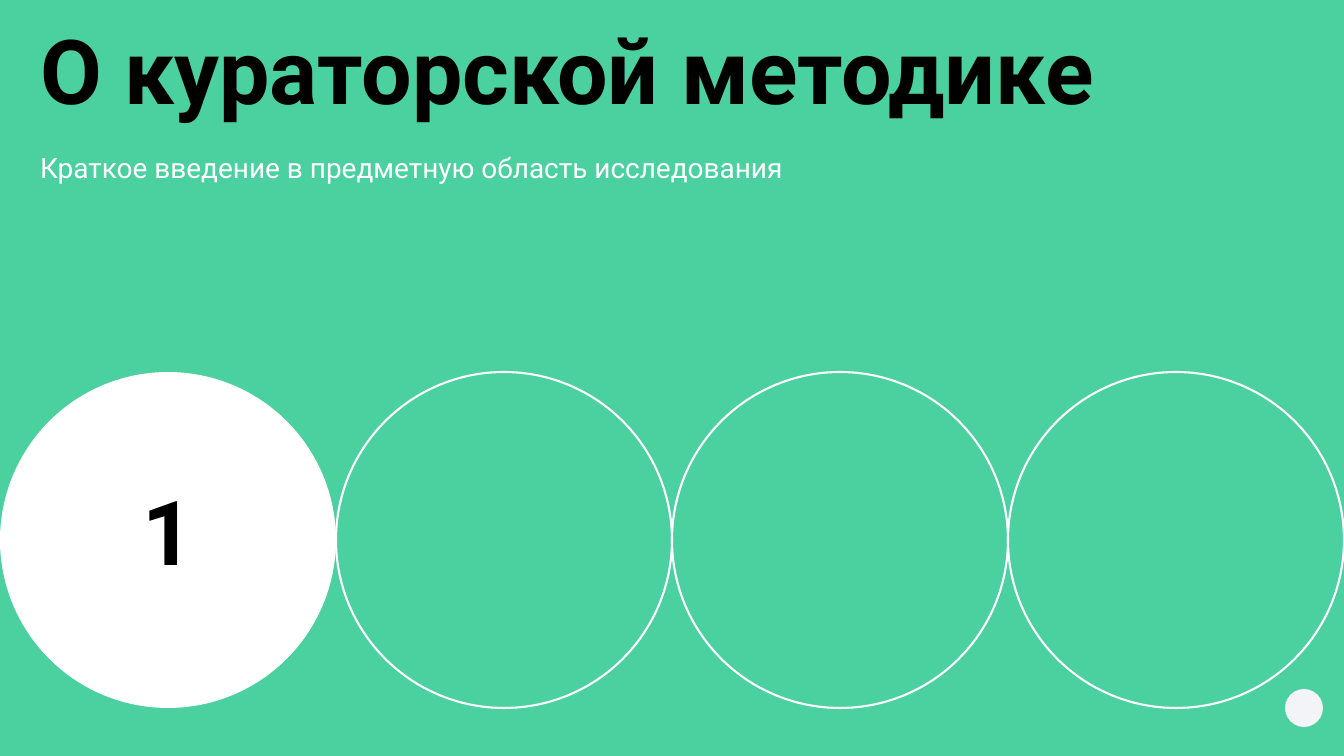
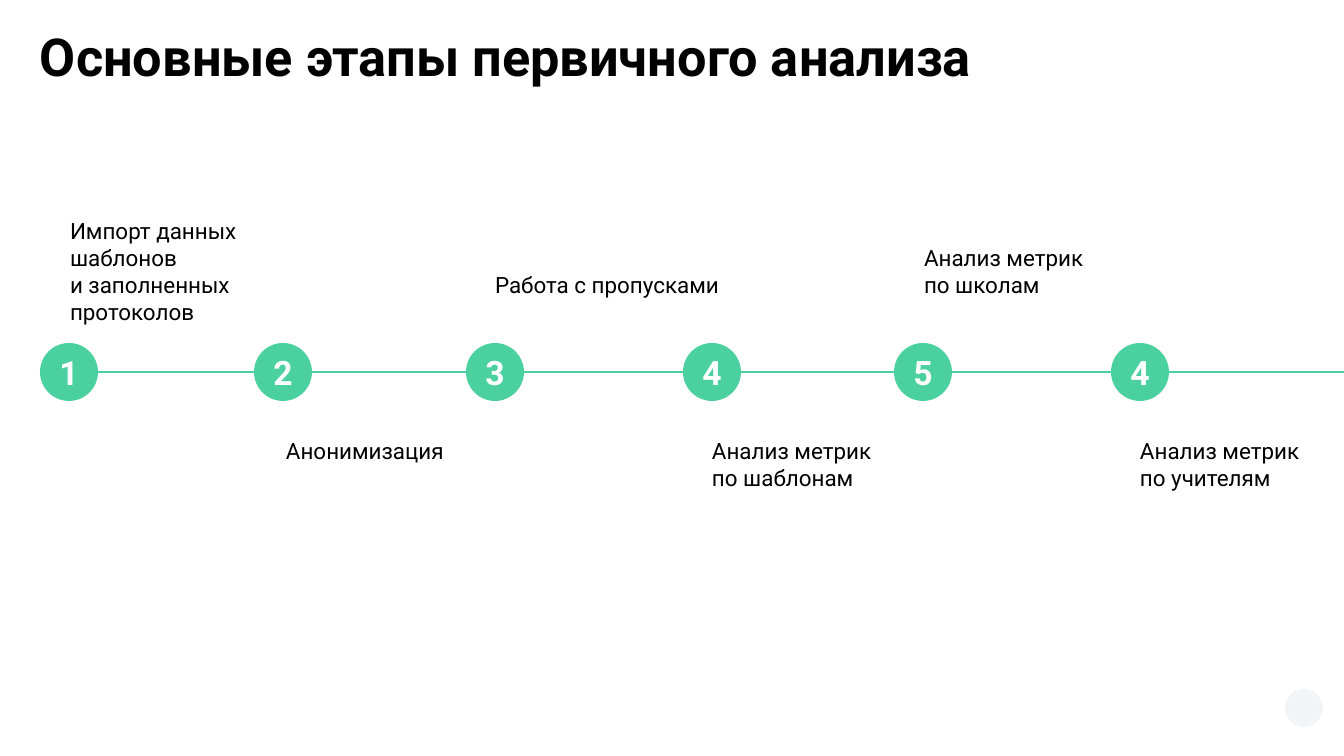
from lxml.etree import SubElement
from pptx import Presentation
from pptx.dml.color import RGBColor
from pptx.enum.shapes import MSO_CONNECTOR, MSO_SHAPE
from pptx.enum.text import MSO_ANCHOR, PP_ALIGN
from pptx.oxml.ns import qn
from pptx.util import Emu, Inches, Pt

WIDE, HIGH = 1344, 756
SCALE = Inches(20) / WIDE
GREEN, WHITE, BLACK, PALE = "4BD0A0", "FFFFFF", "000000", "F3F4F7"
FONT = "Roboto"
EDGE = 40  # left margin of titles and timeline
STROKE = 2.25

TITLE = dict(size=Pt(56), bold=True)
COVER = dict(size=Pt(96), bold=True)
LEAD = dict(size=Pt(30), bold=False)
LABEL = dict(size=Pt(24), bold=False)
DIGIT = dict(size=Pt(36), bold=True)
TIGHT = dict(line_spacing=0.8)
MIDDLE = dict(alignment=PP_ALIGN.CENTER)

RING = 336
DISC = 58
AXIS = 372
ROW = 27  # height of one label line
TOP, LOW = 217, 437

# digit, disc left, label left, label width, rows left free above, label
STEPS = [
    ("1", 40, 70, 212, 0, "Импорт данных шаблонов\vи заполненных протоколов"),
    ("2", 254, 286, 210, 0, "Анонимизация"),
    ("3", 466, 495, 224, 2, "Работа с пропусками"),
    ("4", 683, 712, 210, 0, "Анализ метрик\vпо шаблонам"),
    ("5", 894, 924, 212, 1, "Анализ метрик\vпо школам"),
    ("4", 1111, 1140, 182, 0, "Анализ метрик по учителям"),
]


def px(*nums):
    return [Emu(round(num * SCALE)) for num in nums]


def rgb(code):
    return RGBColor.from_string(code)


def apply(item, attrs):
    for name, value in attrs.items():
        setattr(item, name, value)


def write(par, text, font, color=BLACK, **form):
    par.text = text
    apply(par, form)
    for run in par.runs:
        apply(run.font, dict(font, name=FONT))
        run.font.color.rgb = rgb(color)


def frame(shape, **form):
    """Return the text frame of a shape, wrapped and without insets."""
    body = shape.text_frame
    apply(body, dict(margin_left=0, margin_right=0, margin_top=0,
                     margin_bottom=0, word_wrap=True, **form))
    return body


def text_box(slide, box, text, font, **form):
    body = frame(slide.shapes.add_textbox(*px(*box)))
    write(body.paragraphs[0], text, font, **form)
    return body


def circle(slide, left, top, size, fill=None, line=None):
    shape = slide.shapes.add_shape(
        MSO_SHAPE.OVAL, *px(left, top, size, size))
    shape.shadow.inherit = False
    if fill:
        shape.fill.solid()
        shape.fill.fore_color.rgb = rgb(fill)
    else:
        shape.fill.background()
    if line:
        shape.line.color.rgb = rgb(line)
        shape.line.width = Pt(STROKE)
    else:
        shape.line.fill.background()
    return shape


def number(slide, left, top, size, text, font, fill, color, **form):
    """Draw a filled circle with a centred digit."""
    shape = circle(slide, left, top, size, fill)
    body = frame(shape, vertical_anchor=MSO_ANCHOR.MIDDLE)
    write(body.paragraphs[0], text, font, color, **MIDDLE, **form)


def rule(slide, start, end, y):
    line = slide.shapes.add_connector(
        MSO_CONNECTOR.STRAIGHT, *px(start, y, end, y))
    line.line.color.rgb = rgb(GREEN)
    line.line.width = Pt(STROKE)
    SubElement(line._element.spPr, qn("a:effectLst"))


def new_slide(deck, color):
    """Add a blank slide with its background and the corner mark."""
    slide = deck.slides.add_slide(deck.slide_layouts[6])
    slide.background.fill.solid()
    slide.background.fill.fore_color.rgb = rgb(color)
    circle(slide, 1285, 689, 38, PALE)
    return slide


def cover(deck):
    slide = new_slide(deck, GREEN)
    number(slide, 0, AXIS, RING, "1", COVER, WHITE, BLACK, **TIGHT)
    for spot in range(1, 4):
        circle(slide, spot * RING, AXIS, RING, line=WHITE)
    body = text_box(slide, (EDGE, 36, 1081, 328),
                    "О кураторской методике", COVER, **TIGHT)
    write(body.add_paragraph(),
          "Краткое введение в предметную область исследования",
          LEAD, WHITE, space_before=Pt(38), **TIGHT)


def stages(deck):
    slide = new_slide(deck, WHITE)
    text_box(slide, (EDGE, 36, 1155, 109),
             "Основные этапы первичного анализа", TITLE, **TIGHT)
    rule(slide, EDGE + DISC // 2, WIDE, AXIS)
    for spot, (digit, left, start, width, free, text) in enumerate(STEPS):
        number(slide, left, AXIS - DISC // 2, DISC, digit, DIGIT, GREEN, WHITE)
        top = LOW if spot % 2 else TOP + free * ROW
        text_box(slide, (start, top, width, 4 * ROW - free * ROW),
                 text, LABEL)


def main():
    deck = Presentation()
    deck.slide_width, deck.slide_height = px(WIDE, HIGH)
    cover(deck)
    stages(deck)
    deck.save("out.pptx")


if __name__ == "__main__":
    main()
